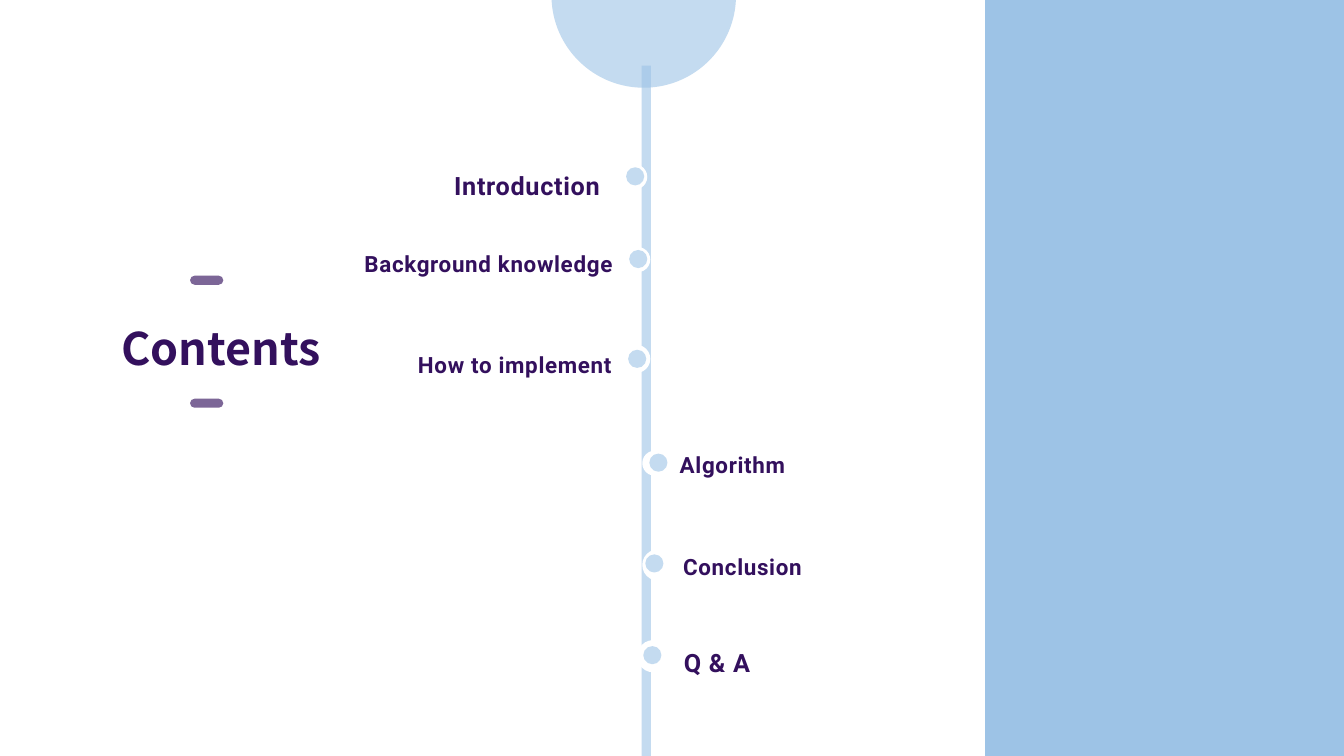
import pptx
import pptx.dml.color
import pptx.enum.shapes
import pptx.enum.text
import pptx.oxml
import pptx.oxml.ns
import pptx.util

Inches = pptx.util.Inches
Pt = pptx.util.Pt
SHAPE = pptx.enum.shapes.MSO_SHAPE
ALIGN = pptx.enum.text.PP_ALIGN
qn = pptx.oxml.ns.qn

BLUE = pptx.dml.color.RGBColor(0x9D, 0xC3, 0xE6)
PURPLE = pptx.dml.color.RGBColor(0x33, 0x10, 0x5D)
WHITE = pptx.dml.color.RGBColor(0xFF, 0xFF, 0xFF)


def write(sp, text, size, font="Roboto", align=ALIGN.RIGHT, spacing=0):
    tf = sp.text_frame
    tf.word_wrap = False
    tf.auto_size = pptx.enum.text.MSO_AUTO_SIZE.SHAPE_TO_FIT_TEXT
    tf.vertical_anchor = pptx.enum.text.MSO_ANCHOR.TOP
    p = tf.paragraphs[0]
    p.alignment = align
    p.line_spacing = 1.1
    r = p.add_run()
    r.text = text
    r.font.name = font
    r.font.size = Pt(size)
    r.font.bold = True
    r.font.color.rgb = PURPLE
    if spacing:
        r.font._element.set("spc", str(int(spacing * 100)))


def add_shape(kind, box, color, opacity=100):
    sp = s.shapes.add_shape(kind, *[Inches(v) for v in box])
    sp.shadow.inherit = False
    sp.fill.solid()
    sp.fill.fore_color.rgb = color
    sp.line.fill.background()
    if opacity < 100:
        clr = next(sp.element.spPr.iter(qn("a:srgbClr")))
        clr.append(clr.makeelement(qn("a:alpha"), {"val": str(opacity * 1000)}))
    return sp


prs = pptx.Presentation()
prs.slide_width = Inches(13.33)
prs.slide_height = Inches(7.5)
s = prs.slides.add_slide(prs.slide_layouts[5])
s.background.fill.solid()
s.background.fill.fore_color.rgb = WHITE

title = s.shapes.title
title.left, title.top = Inches(1.06), Inches(3.08)
title.width, title.height = Inches(2.27), Inches(0.64)
write(title, "Contents ", 32, font="Noto Sans CJK KR", align=ALIGN.CENTER)

add_shape(SHAPE.RECTANGLE, (9.77, 0, 3.56, 7.5), BLUE)
add_shape(SHAPE.OVAL, (5.47, -0.96, 1.83, 1.83), BLUE, opacity=60)

lines = [
    (1.93, 2.78, 2.17, 2.78, PURPLE, 63, "rnd"),
    (1.93, 4, 2.17, 4, PURPLE, 63, "rnd"),
    (6.41, 0.65, 6.41, 7.5, BLUE, 60, "flat"),
]
for x1, y1, x2, y2, color, opacity, cap in lines:
    line = s.shapes.add_connector(
        pptx.enum.shapes.MSO_CONNECTOR.STRAIGHT,
        Inches(x1), Inches(y1), Inches(x2), Inches(y2))
    line.line.width = Pt(6.5)
    line.line.color.rgb = color
    spPr = line.element.spPr
    spPr.find(qn("a:ln")).set("cap", cap)
    clr = next(spPr.iter(qn("a:srgbClr")))
    clr.append(clr.makeelement(qn("a:alpha"), {"val": str(opacity * 1000)}))
    spPr.append(spPr.makeelement(qn("a:effectLst"), {}))

topics = [
    ("Introduction ", 18, (4.36, 1.61, 1.76, 0.43), (3.88, 1.63, 2.54, 0.25), (6.21, 1.66)),
    ("Background knowledge ", 16, (3.49, 2.41, 2.75, 0.39), (3.91, 2.45, 2.54, 0.25), (6.24, 2.48)),
    ("How to implement ", 16, (3.99, 3.41, 2.24, 0.39), (4.27, 3.42, 2.18, 0.28), (6.23, 3.47)),
    ("Algorithm ", 16, (6.62, 4.4, 1.33, 0.39), (6.37, 4.47, 2.12, 0.25), (6.44, 4.5)),
    ("Conclusion ", 16, (6.63, 5.41, 1.43, 0.39), (6.37, 5.45, 2.82, 0.31), (6.4, 5.5)),
    ("Q & A", 18, (6.66, 6.34, 0.88, 0.43), (6.32, 6.35, 1.73, 0.32), (6.38, 6.41)),
]
for text, size, label_box, pill_box, dot in topics:
    pill = add_shape(SHAPE.ROUNDED_RECTANGLE, pill_box, WHITE)
    pill.adjustments[0] = 0.5
    add_shape(SHAPE.OVAL, (*dot, 0.18, 0.18), BLUE, opacity=60)
    label = s.shapes.add_textbox(*[Inches(v) for v in label_box])
    write(label, text, size, spacing=0.5)

prs.save("out.pptx")
